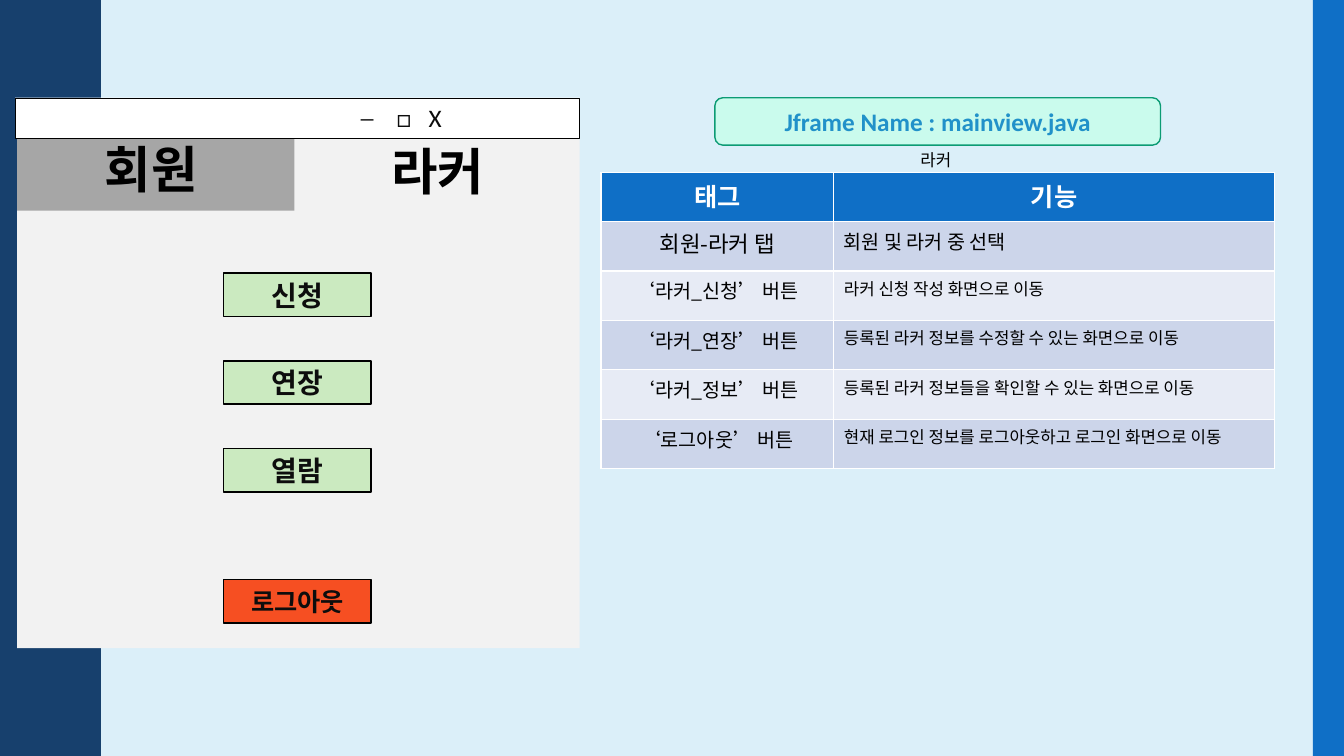
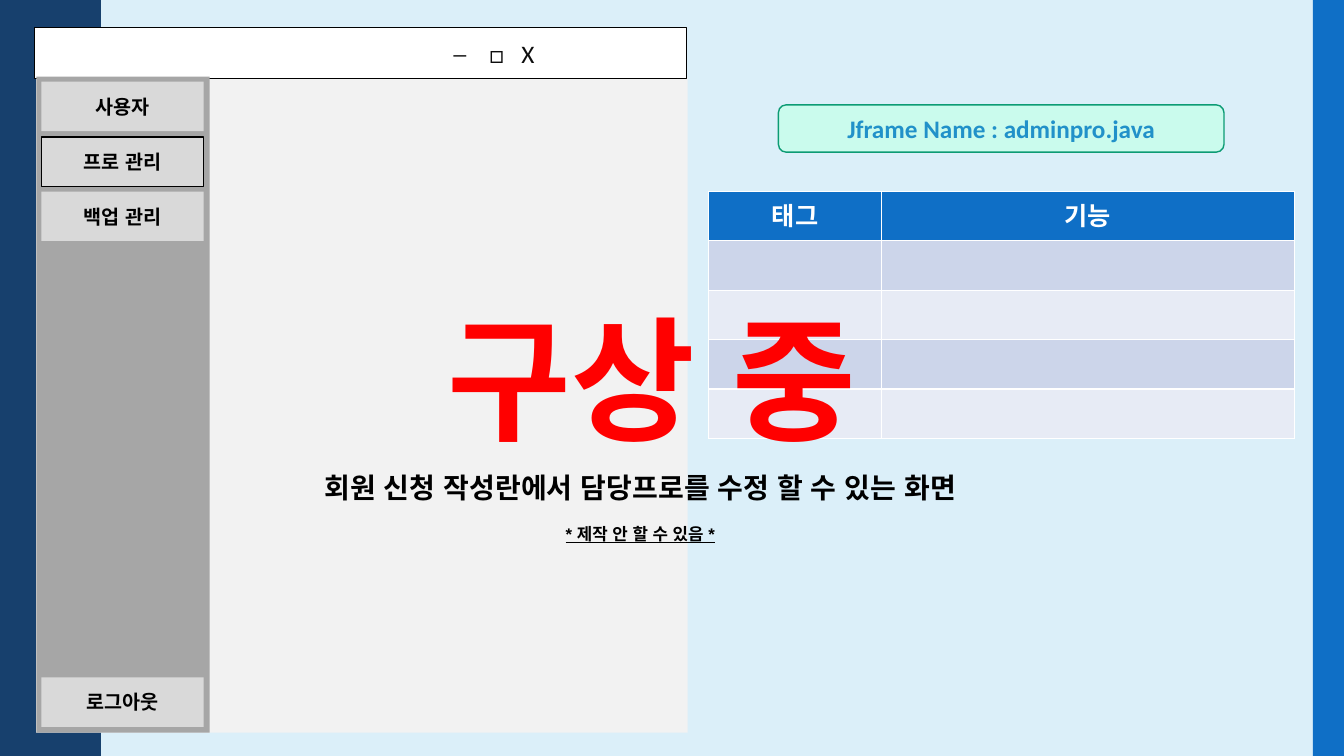
"""Build two screen-design slides: a window mock-up beside its table of functions."""
from pptx import Presentation
from pptx.dml.color import RGBColor
from pptx.enum.shapes import MSO_SHAPE as SHAPE
from pptx.enum.text import MSO_ANCHOR as ANCHOR, MSO_AUTO_SIZE as AUTO, PP_ALIGN as ALIGN
from pptx.oxml.ns import qn
from pptx.util import Inches, Pt

SKY = RGBColor(0xDB, 0xEF, 0xF9)
NAVY = RGBColor(0x17, 0x40, 0x6D)
BLUE = RGBColor(0x0F, 0x6F, 0xC6)
BAND_DARK = RGBColor(0xCC, 0xD5, 0xEA)
BAND_LIGHT = RGBColor(0xE7, 0xEB, 0xF5)
WHITE = RGBColor(0xFF, 0xFF, 0xFF)
BLACK = RGBColor(0x00, 0x00, 0x00)
INK = RGBColor(0x0D, 0x0D, 0x0D)
PANEL = RGBColor(0xF2, 0xF2, 0xF2)
GRAY = RGBColor(0xA6, 0xA6, 0xA6)
SILVER = RGBColor(0xD9, 0xD9, 0xD9)
GREEN = RGBColor(0xCB, 0xEA, 0xC0)
ORANGE = RGBColor(0xF6, 0x4F, 0x22)
MINT = RGBColor(0xCA, 0xFB, 0xED)
TEAL = RGBColor(0x0C, 0x9B, 0x74)
AZURE = RGBColor(0x21, 0x91, 0xC9)
RED = RGBColor(0xFF, 0x00, 0x00)
NOTO = "Noto Sans CJK KR"


def write(p, text, size=18, font="Arial", color=BLACK, bold=False, underline=None,
          align=None, spacing=None):
    r = p.add_run()
    r.text = text
    r.font.size, r.font.name, r.font.bold = Pt(size), font, bold
    r.font.underline = underline
    r.font.color.rgb = color
    rpr = r.font._element
    rpr.find(qn("a:latin")).addnext(rpr.makeelement(qn("a:ea"), {"typeface": font}))
    if spacing:
        rpr.set("spc", str(spacing))
    if align is not None:
        p.alignment = align


def add_box(s, left, top, width, height, fill=None, line=None, weight=1, shape=SHAPE.RECTANGLE):
    at = [Inches(v) for v in (left, top, width, height)]
    if fill is None:
        tf = s.shapes.add_textbox(*at).text_frame
        tf.word_wrap, tf.auto_size = False, AUTO.SHAPE_TO_FIT_TEXT
        return tf
    sp = s.shapes.add_shape(shape, *at)
    sp.shadow.inherit = False
    sp.fill.solid()
    sp.fill.fore_color.rgb = fill
    if line is None:
        sp.line.fill.background()
    else:
        sp.line.color.rgb, sp.line.width = line, Pt(weight)
    tf = sp.text_frame
    tf.vertical_anchor = ANCHOR.MIDDLE
    return tf


prs = Presentation()
prs.slide_width, prs.slide_height = Inches(13.33), Inches(7.5)
background = prs.slide_master.background.fill
background.solid()
background.fore_color.rgb = SKY

rise = [(0.78, 0), (0.78, 0.07), (0.79, 0.14), (0.8, 0.2), (0.81, 0.25), (0.83, 0.29),
        (0.85, 0.33), (0.87, 0.38), (0.89, 0.42), (0.91, 0.46), (0.93, 0.5), (0.95, 0.55),
        (0.96, 0.61), (0.97, 0.68), (0.97, 0.75)]
wave = rise + [(x, 1.5 - y) for x, y in rise[-2:0:-1]]
edge = [(x, y + 1.5 * i) for i in range(5) for x, y in wave] + [(0.78, 7.5), (0, 7.5)]

screens = [
    dict(file="mainview.java", name_at=(7.09, 0.97),
         panel=(0.17, 1.35, 5.58, 5.08), bar=(0.15, 0.97, 5.6, 0.4), controls=3.43,
         table_at=(5.96, 1.71), cols=(2.31, 4.37),
         rows=[("회원-라커 탭", 16, "회원 및 라커 중 선택", 14),
               ("‘라커_신청’ 버튼", 14, "라커 신청 작성 화면으로 이동", 12),
               ("‘라커_연장’ 버튼", 14, "등록된 라커 정보를 수정할 수 있는 화면으로 이동", 12),
               ("‘라커_정보’ 버튼", 14, "등록된 라커 정보들을 확인할 수 있는 화면으로 이동", 12),
               ("‘로그아웃’ 버튼", 14, "현재 로그인 정보를 로그아웃하고 로그인 화면으로 이동", 12)]),
    dict(file="adminpro.java", name_at=(7.72, 1.04),
         panel=(0.36, 0.76, 6.46, 6.51), bar=(0.34, 0.27, 6.47, 0.51), controls=4.16,
         table_at=(7.03, 1.9), cols=(1.71, 4.1), rows=[("", 14, "", 12)] * 4),
]

slides = []
for screen in screens:
    s = prs.slides.add_slide(prs.slide_layouts[6])
    slides.append(s)
    builder = s.shapes.build_freeform(0, 0, scale=Inches(1))
    builder.add_line_segments(edge, close=True)
    sp = builder.convert_to_shape()
    sp.shadow.inherit = False
    sp.fill.solid()
    sp.fill.fore_color.rgb = NAVY
    sp.line.fill.background()
    add_box(s, 13.02, 0, 0.31, 7.5, BLUE)

    rows = [("태그", 18, "기능", 18)] + screen["rows"]
    left, top = screen["table_at"]
    table = s.shapes.add_table(len(rows), 2, Inches(left), Inches(top),
                               Inches(sum(screen["cols"])), Inches(0.49 * len(rows))).table
    for column, width in zip(table.columns, screen["cols"]):
        column.width = Inches(width)
    for i, (tag, tag_size, action, action_size) in enumerate(rows):
        table.rows[i].height = Inches(0.49)
        fill = BLUE if i == 0 else BAND_DARK if i % 2 else BAND_LIGHT
        for j, (text, size) in enumerate([(tag, tag_size), (action, action_size)]):
            cell = table.cell(i, j)
            cell.fill.solid()
            cell.fill.fore_color.rgb = fill
            if text:
                write(cell.text_frame.paragraphs[0], text, size=size, font=NOTO, bold=i == 0,
                      color=BLACK if i else WHITE,
                      align=ALIGN.LEFT if i and j else ALIGN.CENTER)

    add_box(s, *screen["panel"], PANEL)
    tf = add_box(s, *screen["bar"], WHITE, BLACK, 0.25)
    tf.margin_left = Inches(screen["controls"])
    for text, spacing in [("─", None), (" ", 1220), ("□", None), (" ", 815), ("X", None)]:
        write(tf.paragraphs[0], text, font="Calibri", color=INK, spacing=spacing,
              align=ALIGN.LEFT)
    tf = add_box(s, *screen["name_at"], 4.42, 0.47, MINT, TEAL, shape=SHAPE.ROUNDED_RECTANGLE)
    write(tf.paragraphs[0], f"Jframe Name : {screen['file']}", font="Calibri", color=AZURE,
          bold=True, align=ALIGN.CENTER)

main, admin = slides

add_box(main, 0.17, 1.38, 2.75, 0.71, GRAY)
for text, left, top in [("회원", 0.94, 1.32), ("라커", 3.78, 1.34)]:
    tf = add_box(main, left, top, 1.21, 0.71)
    write(tf.paragraphs[0], text, size=36, font=NOTO, bold=True)
buttons = [(text, 2.71 + 0.87 * i, GREEN, 20) for i, text in enumerate(["신청", "연장", "열람"])]
for text, top, fill, size in buttons + [("로그아웃", 5.75, ORANGE, 18)]:
    tf = add_box(main, 2.22, top, 1.46, 0.43, fill, BLACK)
    write(tf.paragraphs[0], text, size=size, color=INK, bold=True, align=ALIGN.CENTER)
tf = add_box(main, 9.03, 1.44, 0.54, 0.3)
write(tf.paragraphs[0], "라커", size=12)

add_box(admin, 0.36, 0.76, 1.72, 6.51, GRAY)
for text, top, line in [("사용자", 0.81, None), ("프로 관리", 1.36, BLACK),
                        ("백업 관리", 1.9, None), ("로그아웃", 6.72, None)]:
    tf = add_box(admin, 0.41, top, 1.61, 0.49, SILVER, line)
    write(tf.paragraphs[0], text, size=14, bold=True, align=ALIGN.CENTER)
tf = add_box(admin, 4.34, 2.89, 4.71, 1.72)
write(tf.paragraphs[0], "구상 중", size=96, color=RED, bold=True)
tf = add_box(admin, 3.12, 4.62, 7.16, 0.84)
write(tf.paragraphs[0], "회원 신청 작성란에서 담당프로를 수정 할 수 있는 화면", size=20, bold=True)
p = tf.add_paragraph()
p.space_before = Pt(14)
write(p, "* 제작 안 할 수 있음 *", size=12, bold=True, underline=True, align=ALIGN.CENTER)

prs.save("out.pptx")
